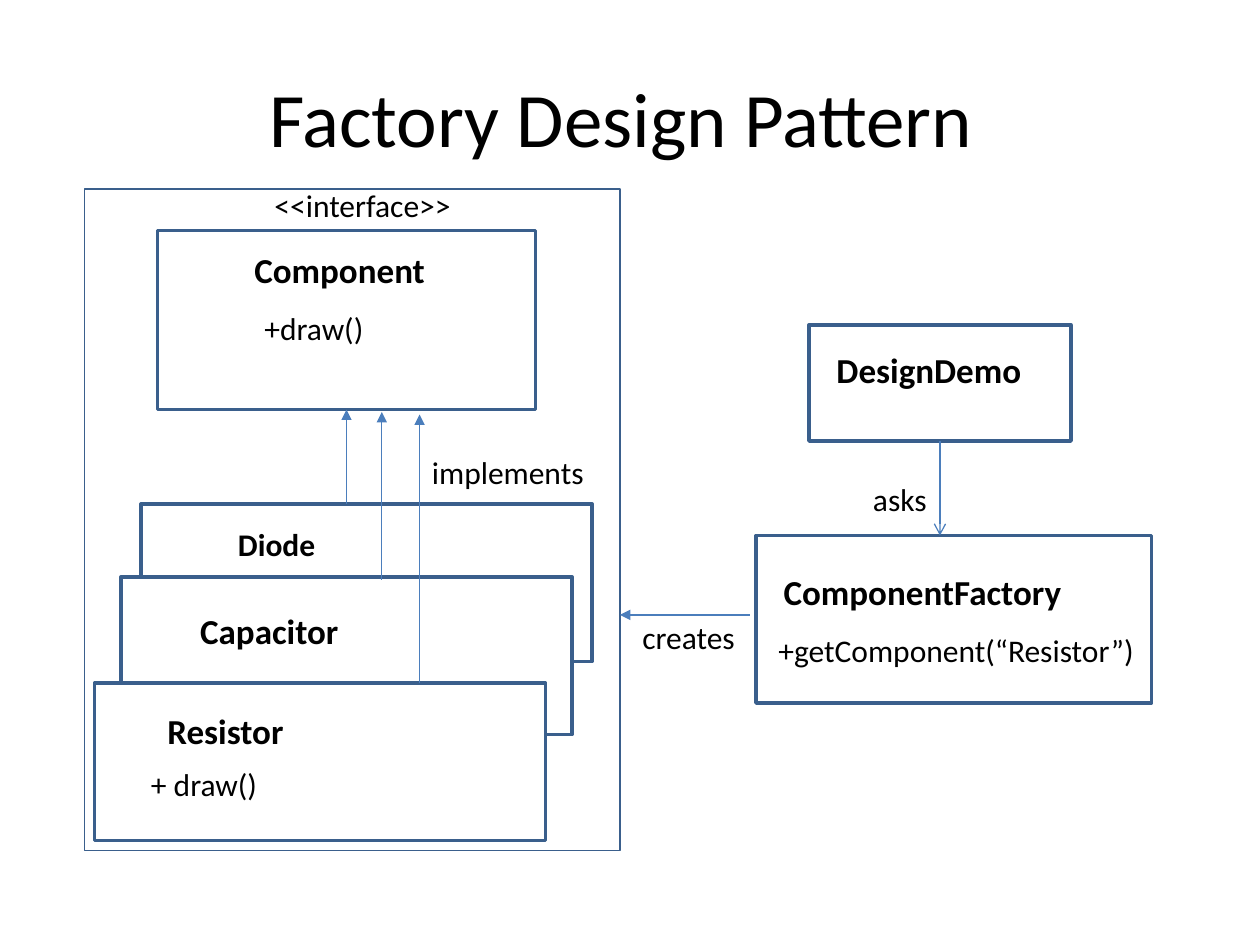
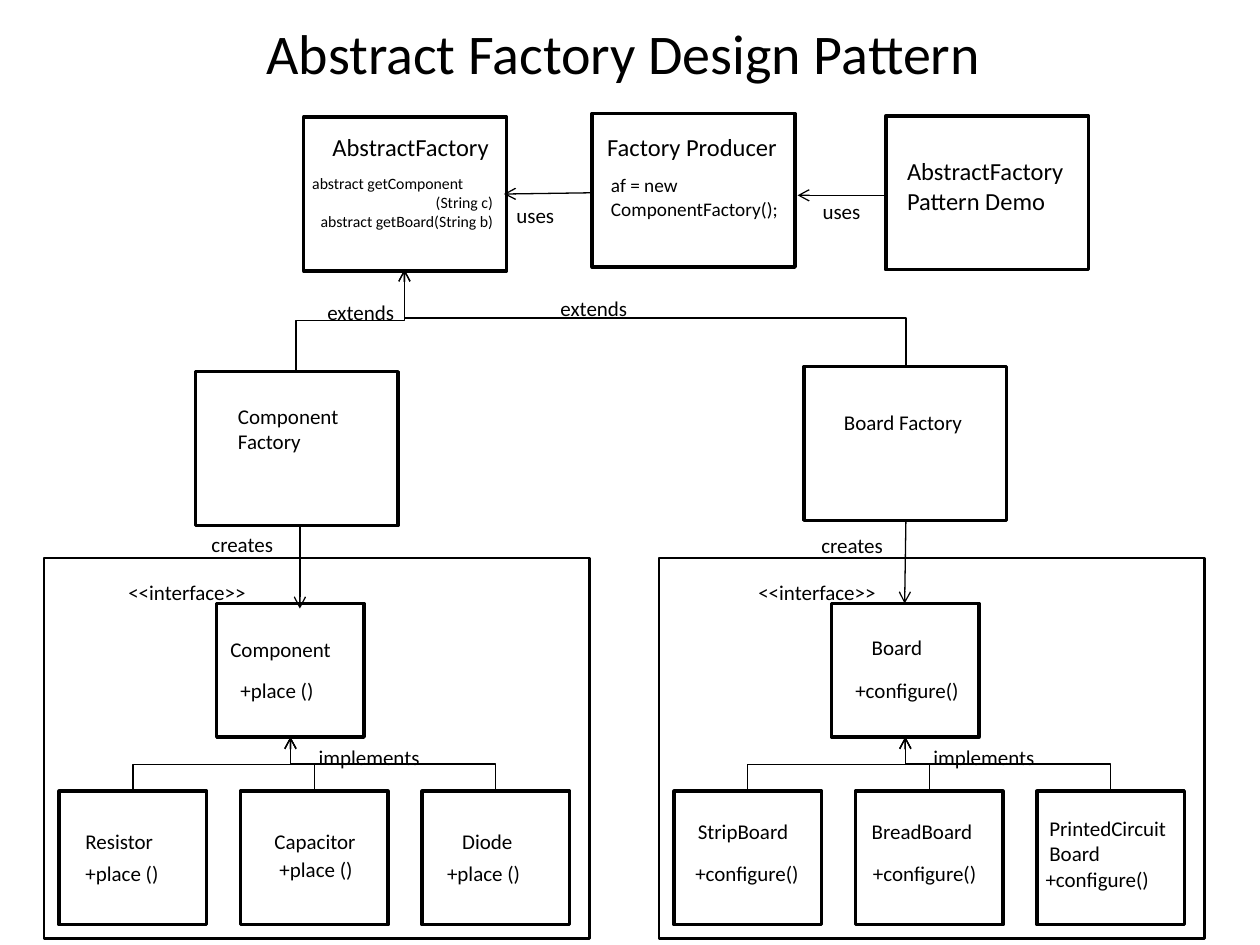
from dataclasses import dataclass

import pptx
import pptx.dml.color
import pptx.enum.shapes
import pptx.enum.text
import pptx.oxml
import pptx.oxml.ns
import pptx.util
from pptx.util import Inches

ALIGN = pptx.enum.text.PP_ALIGN
ANCHOR = pptx.enum.text.MSO_ANCHOR
CONNECTOR = pptx.enum.shapes.MSO_CONNECTOR


@dataclass(frozen=True)
class Theme:
    font: str = "Calibri"
    ink: str = "000000"
    paper: str = "FFFFFF"
    box_blue: str = "3A5F8C"
    arrow_blue: str = "4B7EBC"
    title: int = 44
    small_title: int = 32
    class_name: int = 20
    body: int = 18
    heading: int = 14
    label: int = 12
    code: int = 11
    signature: int = 9
    box_line: float = 2
    frame_line: float = 1.5
    thin_line: float = 0.75


T = Theme()
FACTORY_W, FACTORY_H = 1.61, 1.22
PART_W, PART_H, PART_STEP = 1.17, 1.06, 1.44


def rgb(value):
    return pptx.dml.color.RGBColor.from_string(value)


def add_box(slide, x, y, w, h, color=T.ink, width=T.box_line, filled=False):
    sp = slide.shapes.add_shape(
        pptx.enum.shapes.MSO_SHAPE.RECTANGLE,
        Inches(x), Inches(y), Inches(w), Inches(h))
    sp.shadow.inherit = False
    if filled:
        sp.fill.solid()
        sp.fill.fore_color.rgb = rgb(T.paper)
    else:
        sp.fill.background()
    sp.line.color.rgb = rgb(color)
    sp.line.width = pptx.util.Pt(width)


def add_text(slide, text, x, y, w, h=0.3, size=T.label, bold=False,
             wrap=True, align=ALIGN.LEFT, anchor=ANCHOR.TOP):
    sp = slide.shapes.add_textbox(Inches(x), Inches(y), Inches(w), Inches(h))
    tf = sp.text_frame
    tf.word_wrap = wrap
    tf.vertical_anchor = anchor
    tf.text = text
    for p in tf.paragraphs:
        p.alignment = align
        p.font.name = T.font
        p.font.size = pptx.util.Pt(size)
        p.font.bold = bold
        p.font.color.rgb = rgb(T.ink)
    return tf


def add_title(slide, text, y, h, size):
    add_text(slide, text, 0.5, y, 9, h, size,
             align=ALIGN.CENTER, anchor=ANCHOR.MIDDLE)


def add_class_name(slide, text, x, y, w, size=T.class_name):
    add_text(slide, text, x, y, w, 0.44, size, bold=True, wrap=False)


def add_note(slide, text, x, y, w):
    add_text(slide, text, x, y, w, 0.4, T.body, wrap=False)


def style_arrow(cxn, color, head):
    cxn.line.color.rgb = rgb(color)
    cxn.line.width = pptx.util.Pt(T.thin_line)
    tail = pptx.oxml.parse_xml(
        f'<a:tailEnd {pptx.oxml.ns.nsdecls("a")} type="{head}"/>')
    cxn.line._get_or_add_ln().append(tail)
    cxn._element.spPr.append(pptx.oxml.parse_xml(
        f'<a:effectLst {pptx.oxml.ns.nsdecls("a")}/>'))


def add_arrow(slide, x1, y1, x2, y2, color=T.ink, head="arrow"):
    cxn = slide.shapes.add_connector(
        CONNECTOR.STRAIGHT, Inches(x1), Inches(y1), Inches(x2), Inches(y2))
    style_arrow(cxn, color, head)


def add_elbow_up(slide, x1, y1, x2, y2):
    cx, cy = (x1 + x2) / 2, (y1 + y2) / 2
    rise, run = (y1 - y2) / 2, (x2 - x1) / 2
    cxn = slide.shapes.add_connector(
        CONNECTOR.ELBOW, Inches(cx - rise), Inches(cy - run),
        Inches(cx + rise), Inches(cy + run))
    cxn._element.spPr.find(pptx.oxml.ns.qn("a:xfrm")).set("rot", str(270 * 60000))
    style_arrow(cxn, T.ink, "arrow")


def add_factory(slide, x, y, text, text_x, text_y, text_w, size=T.label):
    add_box(slide, x, y, FACTORY_W, FACTORY_H)
    add_text(slide, text, text_x, text_y, text_w, size=size)


def add_family(slide, x, root, method, interface_x, parts):
    root_x, root_y, part_y = x + 1.37, 4.79, 6.28
    root_mid = root_x + PART_W / 2
    add_box(slide, x, 4.43, 4.33, 3.02, width=T.frame_line)
    add_box(slide, root_x, root_y, PART_W, PART_H)
    add_text(slide, "<<interface>>", interface_x, 4.55, 1.24)
    name, name_x, name_y = root
    add_text(slide, name, name_x, name_y, PART_W)
    add_text(slide, method, root_x + 0.09, 5.33, 1.13)
    for i, (part, part_x, name_y, method_x, method_y) in enumerate(parts):
        left = x + 0.12 + i * PART_STEP
        add_box(slide, left, part_y, PART_W, PART_H)
        add_text(slide, part, part_x, name_y, PART_W)
        add_text(slide, method, method_x, method_y, 1.13)
        add_elbow_up(slide, left + PART_W / 2, part_y,
                     root_mid, root_y + PART_H)
    add_text(slide, "implements", x + 2.08, 5.86, 1.24)


def build_factory(slide):
    add_title(slide, "Factory Design Pattern ", 0.3, 1.25, T.title)
    add_box(slide, 0.67, 1.5, 4.25, 5.25, T.box_blue, T.thin_line)
    add_box(slide, 1.25, 1.83, 3, 1.42, T.box_blue)
    for x, y in ((1.12, 4), (0.96, 4.58), (0.75, 5.42)):
        add_box(slide, x, y, 3.58, 1.25, T.box_blue, filled=True)
    add_box(slide, 6.42, 2.58, 2.08, 0.92, T.box_blue)
    add_box(slide, 6, 4.25, 3.14, 1.33, T.box_blue)

    for x, y1, y2 in ((2.75, 4, 3.25), (3.03, 4.6, 3.27), (3.33, 5.42, 3.29)):
        add_arrow(slide, x, y1, x, y2, T.arrow_blue, "triangle")
    add_arrow(slide, 5.95, 4.88, 4.92, 4.88, T.arrow_blue, "triangle")
    add_arrow(slide, 7.46, 3.5, 7.46, 4.25, T.arrow_blue)

    add_class_name(slide, "Component", 1.92, 1.92, 1.57)
    add_class_name(slide, "Diode", 1.79, 4.12, 0.82, T.body)
    add_class_name(slide, "Capacitor", 1.49, 4.79, 1.31)
    add_class_name(slide, "Resistor", 1.23, 5.58, 1.13)
    add_class_name(slide, "DesignDemo", 6.54, 2.72, 1.68)
    add_class_name(slide, "ComponentFactory", 6.12, 4.48, 2.42)

    add_note(slide, "<<interface>>", 2.08, 1.43, 1.62)
    add_note(slide, "+draw()", 2, 2.4, 1)
    add_note(slide, "implements", 3.33, 3.55, 1.42)
    add_note(slide, "+ draw()", 1.1, 6.02, 1.06)
    add_note(slide, "creates", 5, 4.86, 0.94)
    add_note(slide, "asks", 6.83, 3.76, 0.63)
    add_note(slide, "+getComponent(“Resistor”)", 6.08, 4.96, 3.05)


def build_abstract_factory(slide):
    add_title(slide, "Abstract Factory Design Pattern ", 0, 0.83, T.small_title)
    add_factory(slide, 2.41, 0.93, "AbstractFactory", 2.54, 1, 1.49, T.heading)
    add_factory(slide, 4.7, 0.9, "Factory Producer", 4.72, 1, 1.62, T.heading)
    add_factory(slide, 7.03, 0.92, "AbstractFactory Pattern Demo",
                7.1, 1.19, 1.62, T.heading)
    add_factory(slide, 1.55, 2.95, "Component Factory", 1.79, 3.15, 1.09)
    add_factory(slide, 6.38, 2.91, "Board Factory", 6.6, 3.2, 1.34)

    tf = add_text(slide, "abstract getComponent\n(String c)\nabstract getBoard(String b)",
                  2.38, 1.33, 1.63, 0.55, T.signature)
    for p in tf.paragraphs[1:]:
        p.alignment = ALIGN.RIGHT
    add_text(slide, "af = new ComponentFactory();", 4.75, 1.33, 1.55,
             0.5, T.code)

    add_family(slide, 0.35, ("Component", 1.73, 5), "+place ()", 0.92, (
        ("Resistor", 0.58, 6.53, 0.58, 6.78),
        ("Capacitor", 2.08, 6.53, 2.12, 6.75),
        ("Diode", 3.57, 6.53, 3.45, 6.78)))
    add_family(slide, 5.23, ("Board", 6.82, 4.99), "+configure()", 5.92, (
        ("StripBoard", 5.44, 6.45, 5.42, 6.78),
        ("BreadBoard", 6.82, 6.45, 6.83, 6.78),
        ("PrintedCircuit Board", 8.23, 6.42, 8.2, 6.83)))

    add_arrow(slide, 4.7, 1.53, 4, 1.54)
    add_arrow(slide, 7.03, 1.55, 6.33, 1.55)
    add_arrow(slide, 2.38, 4.18, 2.38, 4.83)
    add_arrow(slide, 7.19, 4.13, 7.18, 4.79)
    add_elbow_up(slide, 2.35, 2.95, 3.21, 2.14)
    add_elbow_up(slide, 7.19, 2.91, 3.21, 2.14)
    for text, x, y in (("uses", 4, 1.56), ("uses", 6.43, 1.53),
                       ("extends", 2.5, 2.33), ("extends", 4.35, 2.3),
                       ("creates", 1.58, 4.17), ("creates", 6.42, 4.18)):
        add_text(slide, text, x, y, 0.74)


def main():
    prs = pptx.Presentation()
    prs.slide_width, prs.slide_height = Inches(10), Inches(7.5)
    blank = prs.slide_layouts[6]
    for build in (build_factory, build_abstract_factory):
        build(prs.slides.add_slide(blank))
    prs.save("out.pptx")


if __name__ == "__main__":
    main()
